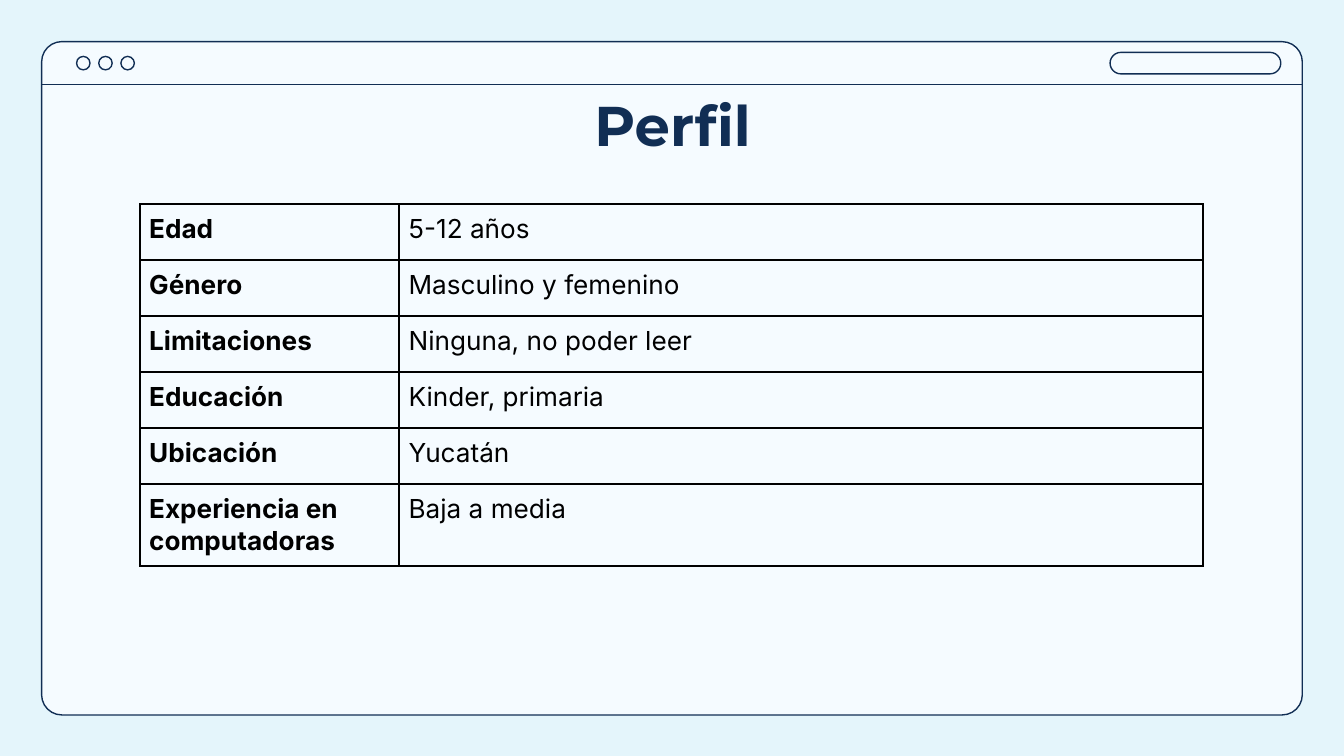
"""Builds the "Perfil" slide: a user profile table inside a browser window."""
from dataclasses import dataclass

from lxml import etree
from pptx import Presentation
from pptx.dml.color import RGBColor
from pptx.enum.shapes import MSO_CONNECTOR, MSO_SHAPE
from pptx.enum.text import MSO_ANCHOR, MSO_AUTO_SIZE, PP_ALIGN
from pptx.oxml.ns import qn
from pptx.util import Inches, Pt

ROUNDED = MSO_SHAPE.ROUNDED_RECTANGLE
OVAL = MSO_SHAPE.OVAL
STRAIGHT = MSO_CONNECTOR.STRAIGHT
TOP = MSO_ANCHOR.TOP
CENTER = PP_ALIGN.CENTER
NO_AUTOFIT = MSO_AUTO_SIZE.NONE

TITLE = "Perfil"
PROFILE = [
    ("Edad", "5-12 años"),
    ("Género", "Masculino y femenino"),
    ("Limitaciones", "Ninguna, no poder leer"),
    ("Educación", "Kinder, primaria"),
    ("Ubicación", "Yucatán"),
    ("Experiencia en computadoras", "Baja a media"),
]


@dataclass(frozen=True)
class Theme:
    """Colours, fonts and sizes of the slide."""

    background: str = "E4F5FB"
    window: str = "F5FBFF"
    navy: str = "112E54"
    black: str = "000000"
    title_font: str = "Montserrat"
    table_font: str = "Inter"
    title_size: int = 30
    table_size: int = 14
    outline: float = 0.75
    border: float = 1


THEME = Theme()
SLIDE_WIDTH = 10
SLIDE_HEIGHT = SLIDE_WIDTH * 9 / 16
WINDOW = (0.31, 0.31, 9.38, 5.01)
BAR_BOTTOM = 0.63
BUTTON_COUNT, BUTTON_TOP, BUTTON_SIZE = 3, 0.42, 0.1
FIRST_BUTTON, LAST_BUTTON = 0.57, 0.9
ADDRESS_BAR = (8.26, 0.39, 1.27, 0.16)
TITLE_BOX = (0.79, 0.57, 8.43, 0.63)
TABLE_LEFT, TABLE_TOP, TABLE_HEIGHT = 1.04, 1.52, 2.5
COLUMN_WIDTHS = (1.93, 5.98)
CELL_MARGIN = 0.07


def color(value):
    """Return the colour for a hex value."""
    return RGBColor.from_string(value)


def set_font(font, name, size, value, bold):
    """Apply name, size, colour and weight to a font."""
    font.name, font.size, font.bold = name, Pt(size), bold
    font.color.rgb = color(value)


def set_margins(frame, margin):
    """Give a frame or cell the same margin on all sides."""
    frame.margin_left = frame.margin_right = Inches(margin)
    frame.margin_top = frame.margin_bottom = Inches(margin)


def set_outline(line):
    """Draw a thin navy line."""
    line.color.rgb = color(THEME.navy)
    line.width = Pt(THEME.outline)


def add_outlined(slide, kind, box, fill=None, corner=None):
    """Add an outlined shape, filled when a colour is given."""
    shape = slide.shapes.add_shape(kind, *map(Inches, box))
    shape.shadow.inherit = False
    if corner is not None:
        shape.adjustments[0] = corner
    if fill:
        shape.fill.solid()
        shape.fill.fore_color.rgb = color(fill)
    else:
        shape.fill.background()
    set_outline(shape.line)


def add_window(slide):
    """Draw the browser window with its buttons and address bar."""
    left, top, width, height = WINDOW
    add_outlined(slide, ROUNDED, WINDOW, THEME.window, 0.03)
    step = (LAST_BUTTON - FIRST_BUTTON) / (BUTTON_COUNT - 1)
    for index in range(BUTTON_COUNT):
        button_left = FIRST_BUTTON + index * step
        add_outlined(slide, OVAL, (button_left, BUTTON_TOP, BUTTON_SIZE, BUTTON_SIZE))
    add_outlined(slide, ROUNDED, ADDRESS_BAR, corner=0.5)
    ends = (left, BAR_BOTTOM, left + width, BAR_BOTTOM)
    divider = slide.shapes.add_connector(STRAIGHT, *map(Inches, ends))
    set_outline(divider.line)
    etree.SubElement(divider._element.spPr, qn("a:effectLst"))


def add_title(slide):
    """Place and format the title placeholder in front of the window."""
    title = slide.shapes.title
    title.left, title.top, title.width, title.height = map(Inches, TITLE_BOX)
    frame = title.text_frame
    frame.text = TITLE
    frame.word_wrap = True
    frame.auto_size = NO_AUTOFIT
    frame.vertical_anchor = TOP
    set_margins(frame, 0.1)
    paragraph = frame.paragraphs[0]
    paragraph.alignment = CENTER
    set_font(paragraph.font, THEME.title_font, THEME.title_size, THEME.navy, True)
    title._element.getparent().append(title._element)


def add_borders(cell):
    """Draw a solid border on every side of a cell."""
    properties = cell._tc.get_or_add_tcPr()
    for side in ("a:lnL", "a:lnR", "a:lnT", "a:lnB"):
        border = etree.SubElement(properties, qn(side), w=str(Pt(THEME.border)))
        fill = etree.SubElement(border, qn("a:solidFill"))
        etree.SubElement(fill, qn("a:srgbClr"), val=THEME.black)


def add_profile(slide):
    """Add the profile table."""
    box = (TABLE_LEFT, TABLE_TOP, sum(COLUMN_WIDTHS), TABLE_HEIGHT)
    table = slide.shapes.add_table(
        len(PROFILE), len(COLUMN_WIDTHS), *map(Inches, box)
    ).table
    table.first_row = table.horz_banding = False
    for column, width in zip(table.columns, COLUMN_WIDTHS):
        column.width = Inches(width)
    for row, texts in zip(table.rows, PROFILE):
        for index, (cell, text) in enumerate(zip(row.cells, texts)):
            cell.text = text
            set_margins(cell, CELL_MARGIN)
            add_borders(cell)
            cell.fill.background()
            font = cell.text_frame.paragraphs[0].font
            set_font(font, THEME.table_font, THEME.table_size, THEME.black, index == 0)


def main():
    """Build and save the presentation."""
    presentation = Presentation()
    presentation.slide_width = Inches(SLIDE_WIDTH)
    presentation.slide_height = Inches(SLIDE_HEIGHT)
    layout = presentation.slide_layouts.get_by_name("Title Only")
    slide = presentation.slides.add_slide(layout)
    slide.background.fill.solid()
    slide.background.fill.fore_color.rgb = color(THEME.background)
    add_window(slide)
    add_title(slide)
    add_profile(slide)
    presentation.save("out.pptx")


if __name__ == "__main__":
    main()
